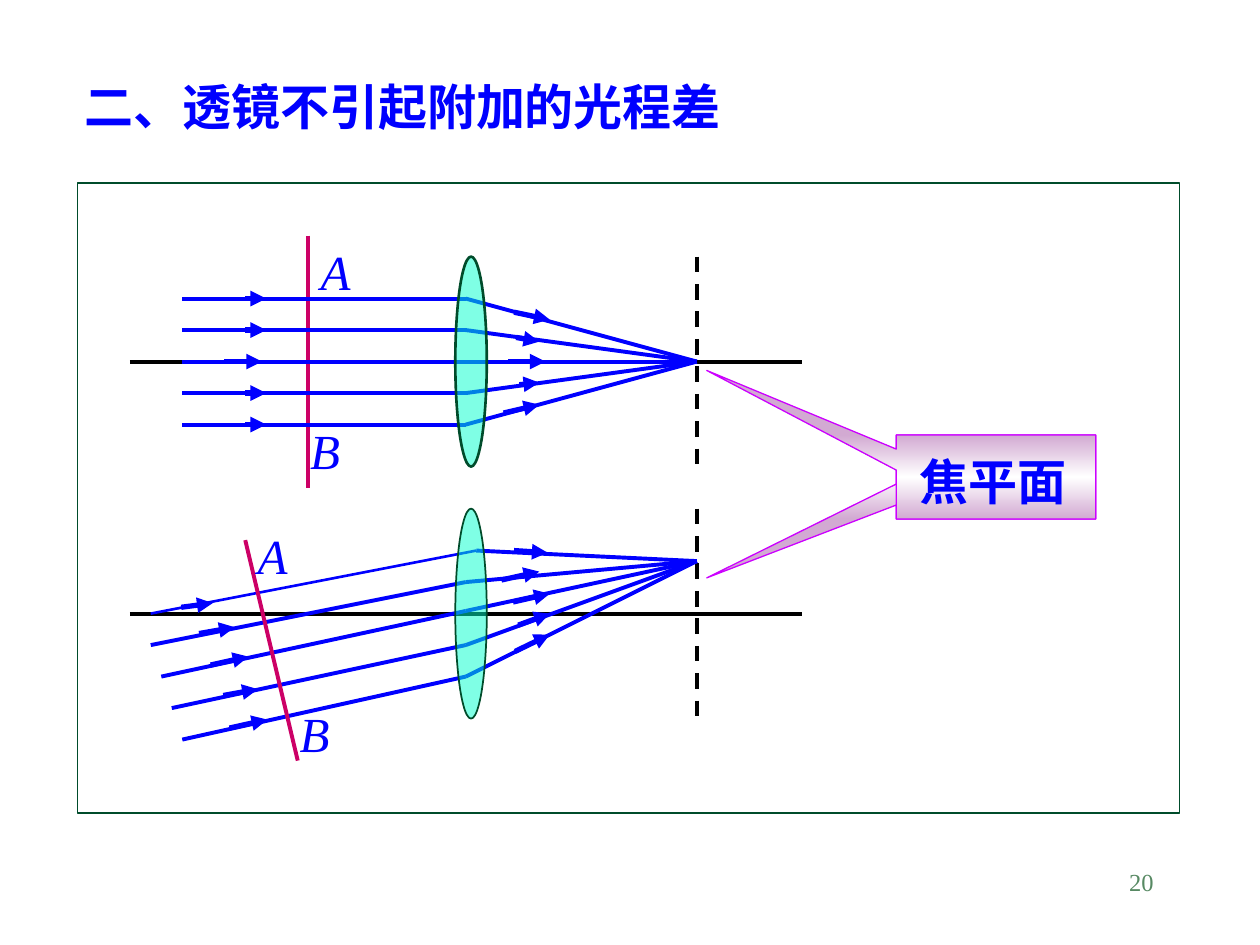
from copy import deepcopy

from lxml import etree
from pptx import Presentation
from pptx import util as u
from pptx.dml.color import RGBColor
from pptx.enum import dml, shapes, text
from pptx.oxml import ns

BLUE = RGBColor(0x00, 0x00, 0xFF)
BLACK = RGBColor(0x00, 0x00, 0x00)
WHITE = RGBColor(0xFF, 0xFF, 0xFF)
CRIMSON = RGBColor(0xCC, 0x00, 0x66)
DARK_GREEN = RGBColor(0x00, 0x4C, 0x2B)
PAGE_GREEN = RGBColor(0x57, 0x89, 0x63)
AQUA = RGBColor(0x00, 0xFF, 0xCC)
MAUVE = RGBColor(0xD2, 0xAA, 0xD2)
VIOLET = RGBColor(0xCC, 0x00, 0xFF)

# Grid of twelfths of an inch; column 0 is where the optical axes start,
# row 0 is the top of the upper wavefront.
CELL = u.Inches(1) / 12
LEFT, TOP = u.Inches(1.03), u.Inches(1.87)
LENS_COL, FOCUS_COL = 32, 54
UPPER_AXIS, LOWER_AXIS = 12, 36
UPPER_FOCUS, LOWER_FOCUS = (FOCUS_COL, UPPER_AXIS), (FOCUS_COL, 31)


def place(col, row, width=0, height=0):
    """Turn grid cells into left, top, width and height in EMU."""
    return (int(LEFT + col * CELL), int(TOP + row * CELL),
            int(width * CELL), int(height * CELL))


def write(holder, words, size=28, color=BLUE, bold=False, italic=False,
          align=text.PP_ALIGN.LEFT):
    frame = holder.text_frame
    frame.word_wrap = True
    frame.auto_size = text.MSO_AUTO_SIZE.NONE
    frame.vertical_anchor = text.MSO_ANCHOR.TOP
    paragraph = frame.paragraphs[0]
    paragraph.text = words
    paragraph.alignment = align
    paragraph.space_before = u.Pt(0)
    font = paragraph.runs[0].font
    font.name, font.size = "Times New Roman", u.Pt(size)
    font.bold, font.italic = bold, italic
    font.color.rgb = color


prs = Presentation()
prs.slide_width, prs.slide_height = u.Inches(10), u.Inches(7.5)
slide = prs.slides.add_slide(prs.slide_layouts[5])
canvas = slide.shapes

title = canvas.title
title.left, title.top, title.width, title.height = place(-5.5, -15.8, 87, 6.8)
write(title, "二、透镜不引起附加的光程差", bold=True)

panel = canvas.add_shape(shapes.MSO_SHAPE.RECTANGLE, *place(-5, -5, 105, 60))
panel.shadow.inherit = False
panel.fill.solid()
panel.fill.fore_color.rgb = WHITE
panel.line.color.rgb = DARK_GREEN
panel.line.width = u.Pt(0.75)

# Each segment: start, end, colour, weight, style
segments = [((17, 0), (17, 24), CRIMSON, 2.25, "plain")]
for axis in (UPPER_AXIS, LOWER_AXIS):
    segments.append(((0, axis), (64, axis), BLACK, 2.25, "plain"))
    segments.append(((FOCUS_COL, axis - 10), (FOCUS_COL, axis + 10),
                     BLACK, 2.25, "dash"))

# Each ray: start, point on the lens, focus, weight before the lens
rays = [((5, row), (LENS_COL, row), UPPER_FOCUS, 2.25)
        for row in range(6, 19, 3)]
rays += [
    ((2, 36), (33, 30), LOWER_FOCUS, 1.5),
    ((2, 39), (LENS_COL, 33), LOWER_FOCUS, 2.25),
    ((3, 42), (LENS_COL, 35.75), LOWER_FOCUS, 2.25),
    ((4, 45), (LENS_COL, 39), LOWER_FOCUS, 2.25),
    ((5, 48), (LENS_COL, 42), LOWER_FOCUS, 2.25),
]
for source, bend, focus, weight in rays:
    segments.append((source, bend, BLUE, weight, "plain"))
    segments.append((bend, focus, BLUE, 2.25, "plain"))
segments.append(((11, 29), (16, 50), CRIMSON, 2.25, "plain"))

directions = [((11, row), (13, row)) for row in (6, 9, 15, 18)]
directions += [
    ((9, 12), (12.6, 12)), ((36, 12), (39.6, 12)),
    ((36.6, 7.3), (40, 8)), ((36.8, 9.7), (39, 10.1)),
    ((37.1, 14.2), (39, 14)), ((35.6, 16.9), (39, 16.1)),
    ((4.9, 35.4), (7.9, 35)), ((6.6, 37.9), (10, 37.3)),
    ((7.7, 40.9), (11.3, 40.1)), ((8.9, 43.8), (12.2, 43.2)),
    ((9.5, 46.9), (13.1, 46.1)),
    ((36.6, 30), (39.8, 30.2)), ((35.4, 32.8), (39, 32)),
    ((36.5, 34.9), (40, 34.1)), ((37, 37.1), (40, 36)),
    ((36.7, 39.6), (40, 38)),
]
segments += [(start, end, BLUE, 3, "arrow") for start, end in directions]

for start, end, color, weight, style in segments:
    segment = canvas.add_connector(shapes.MSO_CONNECTOR.STRAIGHT,
                                   *place(*start)[:2], *place(*end)[:2])
    segment.line.color.rgb = color
    segment.line.width = u.Pt(weight)
    if style == "dash":
        segment.line.dash_style = dml.MSO_LINE.DASH
    if style == "arrow":
        etree.SubElement(segment.line._get_or_add_ln(), ns.qn("a:tailEnd"),
                         type="triangle")
    etree.SubElement(segment._element.spPr, ns.qn("a:effectLst"))

for letter, col, row in (("A", 17, 0), ("B", 16, 17),
                         ("A", 11, 27), ("B", 15, 44)):
    write(canvas.add_textbox(*place(col, row, 12, 6.8)), letter, italic=True)

for axis, weight in ((UPPER_AXIS, 1.5), (LOWER_AXIS, 1)):
    lens = canvas.add_shape(shapes.MSO_SHAPE.OVAL,
                            *place(LENS_COL - 1, axis - 10, 3, 20))
    lens.shadow.inherit = False
    lens.fill.solid()
    lens.fill.fore_color.rgb = AQUA
    tint = lens._element.spPr.find(ns.qn("a:solidFill"))[0]
    etree.SubElement(tint, ns.qn("a:alpha"), val="50000")
    lens.line.color.rgb = DARK_GREEN
    lens.line.width = u.Pt(weight)

for tip_x, tip_y in ((-1.45, 1.2), (-1.45, -1.27)):
    callout = canvas.add_shape(shapes.MSO_SHAPE.RECTANGULAR_CALLOUT,
                               *place(73, 19, 19, 8))
    callout.shadow.inherit = False
    callout.adjustments[0], callout.adjustments[1] = tip_x, tip_y
    callout.fill.gradient()
    callout.fill.gradient_angle = 90
    stop_list = callout._element.spPr.find(ns.qn("a:gradFill")).find(ns.qn("a:gsLst"))
    stop_list.append(deepcopy(stop_list[0]))
    for stop, position, color in zip(callout.fill.gradient_stops, (0, 0.5, 1),
                                     (MAUVE, WHITE, MAUVE)):
        stop.position = position
        stop.color.rgb = color
    callout.line.color.rgb = VIOLET
    callout.line.width = u.Pt(0.75)

write(canvas.add_textbox(*place(74, 20, 28, 6.8)), "焦平面", bold=True)
write(canvas.add_textbox(*place(73.7, 59.5, 25, 6)), "20", size=14,
      color=PAGE_GREEN, align=text.PP_ALIGN.RIGHT)

prs.save("out.pptx")
